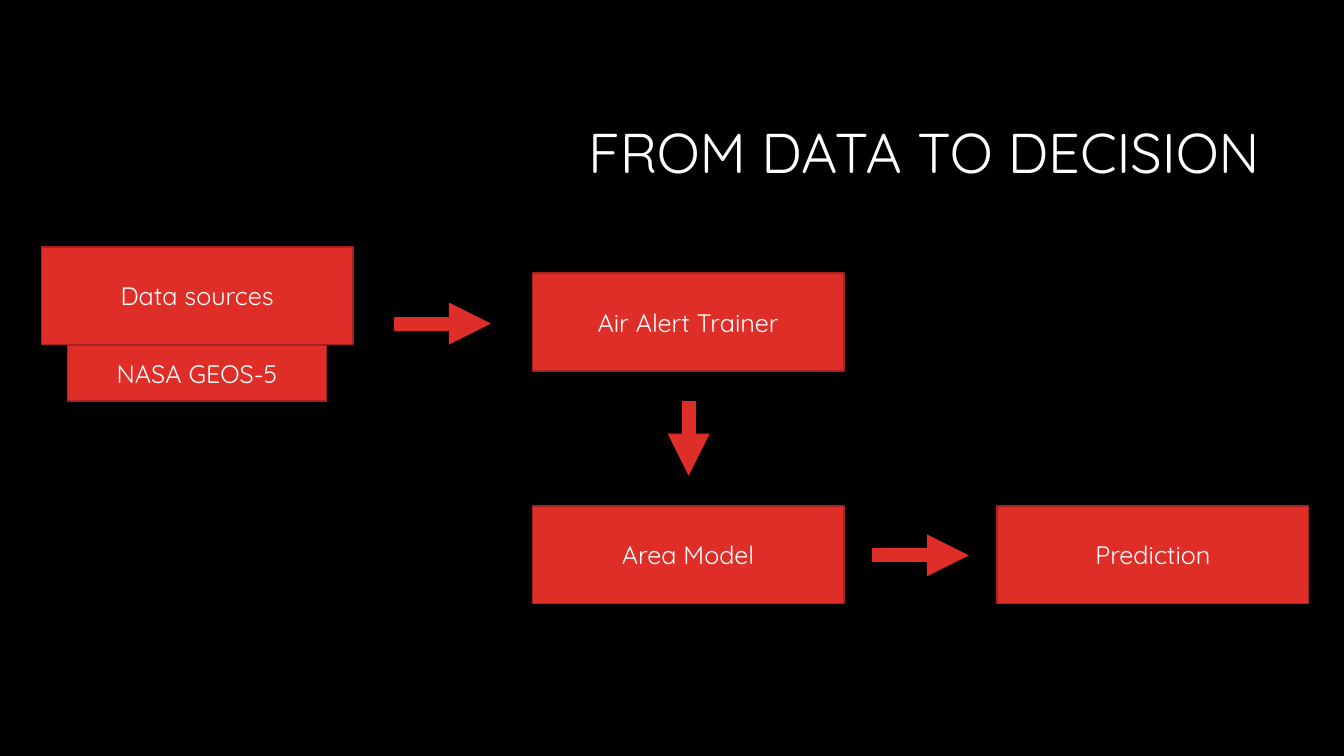
import pptx
import pptx.dml.color
import pptx.enum.shapes
import pptx.enum.text
import pptx.oxml.ns
import pptx.util
from lxml import etree

Inches, Pt = pptx.util.Inches, pptx.util.Pt
RGBColor = pptx.dml.color.RGBColor
PP_ALIGN = pptx.enum.text.PP_ALIGN

BLACK = RGBColor(0x00, 0x00, 0x00)
WHITE = RGBColor(0xFF, 0xFF, 0xFF)
RED = RGBColor(0xDF, 0x2E, 0x28)
DARK_RED = RGBColor(0xA5, 0x22, 0x1E)

STEP_W, STEP_H = 3.09, 0.97


class FlowSlide:
    font = "Quicksand"

    def __init__(self, prs):
        self.slide = prs.slides.add_slide(prs.slide_layouts[6])
        fill = self.slide.background.fill
        fill.solid()
        fill.fore_color.rgb = BLACK

    def add_label(self, sp, text, size, align):
        tf = sp.text_frame
        tf.word_wrap = True
        tf.vertical_anchor = pptx.enum.text.MSO_ANCHOR.MIDDLE
        p = tf.paragraphs[0]
        p.alignment = align
        r = p.add_run()
        r.text = text
        r.font.name = self.font
        r.font.size = Pt(size)
        r.font.color.rgb = WHITE
        return p

    def title(self, text, x, y, w, h):
        sp = self.slide.shapes.add_textbox(Inches(x), Inches(y), Inches(w), Inches(h))
        self.add_label(sp, text, 40, PP_ALIGN.RIGHT).line_spacing = 0.9

    def box(self, text, x, y, w=STEP_W, h=STEP_H):
        sp = self.slide.shapes.add_shape(
            pptx.enum.shapes.MSO_SHAPE.RECTANGLE,
            Inches(x), Inches(y), Inches(w), Inches(h))
        sp.shadow.inherit = False
        sp.fill.solid()
        sp.fill.fore_color.rgb = RED
        sp.line.color.rgb = DARK_RED
        sp.line.width = Pt(1)
        self.add_label(sp, text, 18, PP_ALIGN.CENTER)

    def arrow(self, x1, y1, x2, y2):
        cx = self.slide.shapes.add_connector(
            pptx.enum.shapes.MSO_CONNECTOR.STRAIGHT,
            Inches(x1), Inches(y1), Inches(x2), Inches(y2))
        cx.line.color.rgb = RED
        cx.line.width = Pt(10)
        qn = pptx.oxml.ns.qn
        sp_pr = cx._element.spPr
        etree.SubElement(sp_pr.find(qn("a:ln")), qn("a:tailEnd"), type="triangle")
        etree.SubElement(sp_pr, qn("a:effectLst"))


def main():
    prs = pptx.Presentation()
    prs.slide_width, prs.slide_height = Inches(13.33), Inches(7.5)
    s = FlowSlide(prs)

    s.title("FROM DATA TO DECISION", 3.17, 0.84, 9.42, 1.41)

    # Source tab sits under the first step
    s.box("NASA GEOS-5", 0.67, 3.43, 2.57, 0.55)

    # Process steps
    for text, x, y in (
        ("Data sources", 0.41, 2.45),
        ("Air Alert Trainer", 5.28, 2.71),
        ("Area Model", 5.28, 5.02),
        ("Prediction", 9.89, 5.02),
    ):
        s.box(text, x, y)

    # Flow between the steps
    s.arrow(3.91, 3.21, 4.87, 3.21)
    s.arrow(6.83, 3.98, 6.83, 4.72)
    s.arrow(8.65, 5.51, 9.61, 5.51)

    prs.save("out.pptx")


if __name__ == "__main__":
    main()
